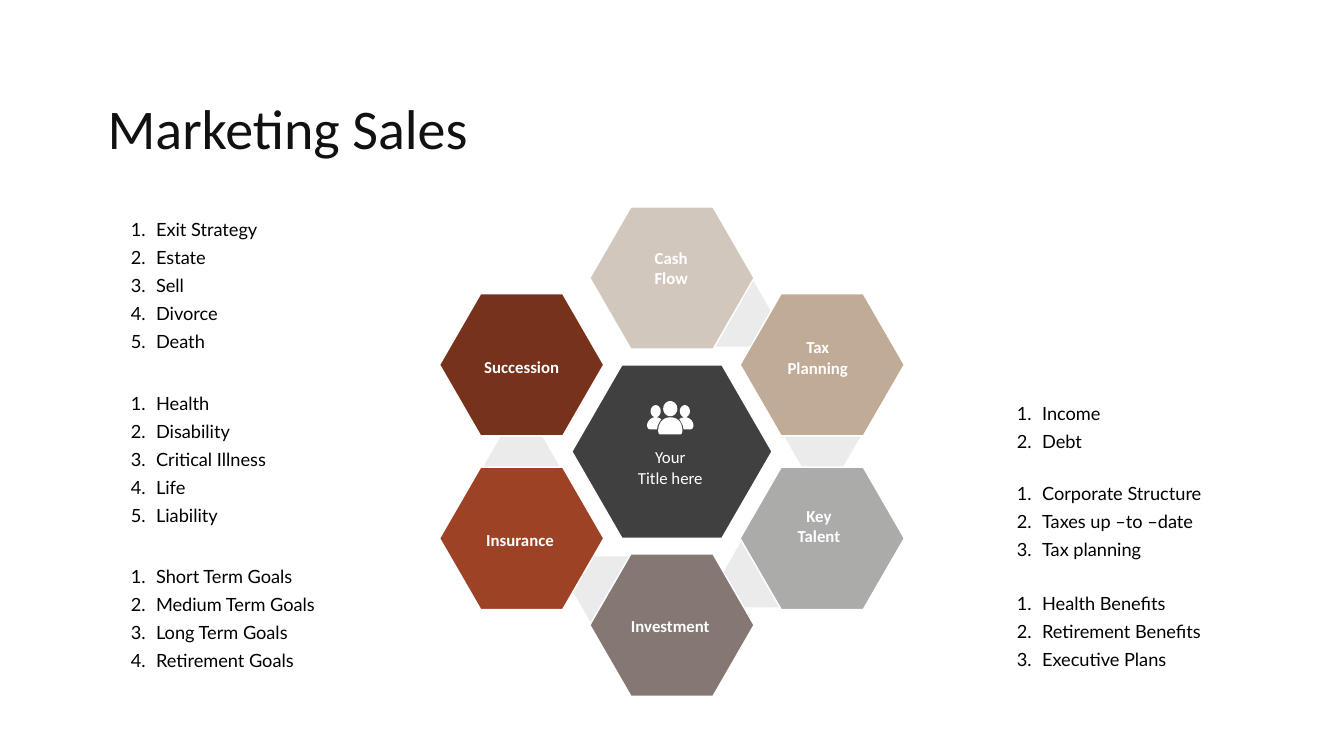
from math import cos, radians, sin, sqrt

from pptx import Presentation
from pptx.dml.color import RGBColor
from pptx.enum.shapes import MSO_SHAPE as Preset
from pptx.enum.text import MSO_AUTO_SIZE as AutoSize, PP_ALIGN as Align
from pptx.oxml.xmlchemy import OxmlElement
from pptx.util import Pt

COLUMNS, ROWS, CELL = 80, 45, Pt(12)
HUB = (40, 26.88)
HUB_RADIUS, PETAL_RADIUS, LINK_RADIUS = 5.96, 4.89, 2.25
PETAL_DISTANCE, LINK_DISTANCE, LINK_TURN = 10.33, 9, 24.5

# Label, fill, and the label's shift from the petal's centre, clockwise from the top
PETALS = [
    ("Cash\nFlow", "D2C7BC", -0.05, -0.6),
    ("Tax\nPlanning", "C0AB96", -0.27, -0.42),
    ("Key\nTalent", "ABACAA", -0.2, -0.72),
    ("Investment", "857873", -0.1, 0.07),
    ("Insurance", "9E4225", -0.1, 0.12),
    ("Succession", "77321C", 0, 0.13),
]

# Left, top, width, entries
LISTS = [
    (7.2, 12.36, 12.4, "Exit Strategy\nEstate\nSell\nDivorce\nDeath"),
    (7.2, 22.68, 12.4, "Health\nDisability\nCritical Illness\nLife\nLiability"),
    (7.2, 33, 12.4,
     "Short Term Goals\nMedium Term Goals\nLong Term Goals\nRetirement Goals"),
    (59.94, 23.28, 9.4, "Income\nDebt"),
    (59.94, 28.02, 14.1, "Corporate Structure\nTaxes up –to –date\nTax planning"),
    (59.94, 34.62, 14.1, "Health Benefits\nRetirement Benefits\nExecutive Plans"),
]

# Bodies of the people icon as chained cubic curves
MIDDLE_BODY = [(0, 16), (9, 16), (12, 23), (12, 29), (12, 32), (11, 33), (10, 33),
               (3, 33), (-3, 33), (-10, 33), (-11, 33), (-12, 32), (-12, 29),
               (-12, 23), (-8, 16), (0, 16)]
SIDE_BODY = [(15, 16), (19, 16), (23, 20), (23, 24), (23, 26), (22, 28), (20, 28),
             (18, 28), (15, 28), (13, 28), (13, 24), (11, 21), (9, 18),
             (10, 17), (12, 16), (15, 16)]


def color(code):
    return RGBColor.from_string(code)


def around(center, distance, turn):
    """Point at a clockwise turn in degrees from straight up."""
    angle = radians(turn)
    return center[0] + distance * sin(angle), center[1] - distance * cos(angle)


def ellipse(x, y, rx, ry, steps=32):
    turns = [radians(360 * step / steps) for step in range(steps)]
    return [(x + rx * cos(turn), y + ry * sin(turn)) for turn in turns]


def curve(points, steps=8):
    """Sample a chain of cubic curves that share their end points."""
    outline = []
    for first in range(0, len(points) - 1, 3):
        for step in range(steps):
            t = step / steps
            weights = ((1 - t) ** 3, 3 * t * (1 - t) ** 2, 3 * t * t * (1 - t), t ** 3)
            knots = points[first:first + 4]
            outline.append(tuple(sum(w * knot[axis] for w, knot in zip(weights, knots))
                                 for axis in (0, 1)))
    return outline


def mirror(outline):
    return [(-x, y) for x, y in outline]


class Board:
    """A slide on a grid of square cells, with its text style."""
    heading_font, list_font = "Calibri", "Lato"

    def __init__(self, deck):
        self.shapes = deck.slides.add_slide(deck.slide_layouts[6]).shapes

    def paint(self, shape, fill, line=None):
        shape.shadow.inherit = False
        shape.fill.solid()
        shape.fill.fore_color.rgb = color(fill)
        if line:
            shape.line.color.rgb = color(line)
            shape.line.width = Pt(1)
        else:
            shape.line.fill.background()

    def outline(self, contours, fill, line=None):
        """Draw closed contours, given in cells, as one shape."""
        scaled = [[(x * CELL, y * CELL) for x, y in contour] for contour in contours]
        builder = self.shapes.build_freeform(*scaled[0][0], scale=1.0)
        for index, contour in enumerate(scaled):
            if index:
                builder.move_to(*contour[0])
            builder.add_line_segments(contour[1:], close=True)
        self.paint(builder.convert_to_shape(), fill, line)

    def hexagon(self, center, radius, fill):
        corners = [around(center, radius, turn) for turn in range(30, 390, 60)]
        self.outline([corners], fill, "FFFFFF")

    def link(self, center):
        """Half-transparent hexagon that shows between two petals."""
        width, height = 2 * LINK_RADIUS, sqrt(3) * LINK_RADIUS
        box = (center[0] - width / 2, center[1] - height / 2, width, height)
        shape = self.shapes.add_shape(Preset.HEXAGON, *(int(n * CELL) for n in box))
        shape.adjustments[0] = 0.289
        self.paint(shape, "D9D9D9")
        alpha = OxmlElement("a:alpha")
        alpha.set("val", "50000")
        shape.fill._xPr.find(".//{*}srgbClr").append(alpha)

    def text(self, left, top, width, words, size, ink, font=heading_font,
             leading=None, align=Align.LEFT, bold=False, numbered=False):
        lines = words.split("\n")
        height = len(lines) * (leading or size * 1.22) / 12 + 0.6
        box = self.shapes.add_textbox(*(int(n * CELL) for n in (left, top, width, height)))
        frame = box.text_frame
        frame.word_wrap = True
        frame.auto_size = AutoSize.SHAPE_TO_FIT_TEXT
        frame.text = words
        for para in frame.paragraphs:
            para.alignment = align
            if leading:
                para.line_spacing = Pt(leading)
            if numbered:
                self.number(para)
            para.font.name = font
            para.font.size = Pt(size)
            para.font.bold = bold
            para.font.color.rgb = color(ink)

    def number(self, para):
        properties = para._p.get_or_add_pPr()
        properties.set("marL", str(Pt(18)))
        properties.set("indent", str(-Pt(18)))
        bullet = OxmlElement("a:buAutoNum")
        bullet.set("type", "arabicPeriod")
        properties.append(bullet)

    def label(self, center, words, bold=True):
        width = 7
        height = (words.count("\n") + 1) * 1.22 + 0.6
        self.text(center[0] - width / 2, center[1] - height / 2, width, words,
                  12, "FFFFFF", align=Align.CENTER, bold=bold)

    def people(self, left, top):
        """Three people; icon units are hundredths of an inch."""
        side_head, side_body = ellipse(14.5, 10, 5, 6), curve(SIDE_BODY)
        contours = [curve(MIDDLE_BODY), side_body, mirror(side_body),
                    side_head, mirror(side_head), ellipse(0, 7.5, 7, 7.5)]
        self.outline([[(left + x * 0.06, top + y * 0.06) for x, y in contour]
                      for contour in contours], "FFFFFF")


def main():
    deck = Presentation()
    deck.slide_width, deck.slide_height = COLUMNS * CELL, ROWS * CELL
    board = Board(deck)

    board.text(5.82, 5.52, 41.16, "Marketing Sales", 40, "111111", leading=45)
    board.hexagon(HUB, HUB_RADIUS, "404040")
    centers = [around(HUB, PETAL_DISTANCE, 60 * index) for index in range(len(PETALS))]
    for index, (words, fill, dx, dy) in enumerate(PETALS):
        if index < len(PETALS) - 1:
            board.link(around(HUB, LINK_DISTANCE, LINK_TURN + 60 * index))
        board.hexagon(centers[index], PETAL_RADIUS, fill)
    for (x, y), (words, fill, dx, dy) in zip(centers, PETALS):
        board.label((x + dx, y + dy), words)
    board.people(39.9, 23.88)
    board.label((HUB[0] - 0.1, HUB[1] + 0.96), "Your\nTitle here", bold=False)

    for left, top, width, words in LISTS:
        board.text(left, top, width, words, 13, "000000", font=board.list_font,
                   leading=20, numbered=True)
    deck.save("out.pptx")


if __name__ == "__main__":
    main()
